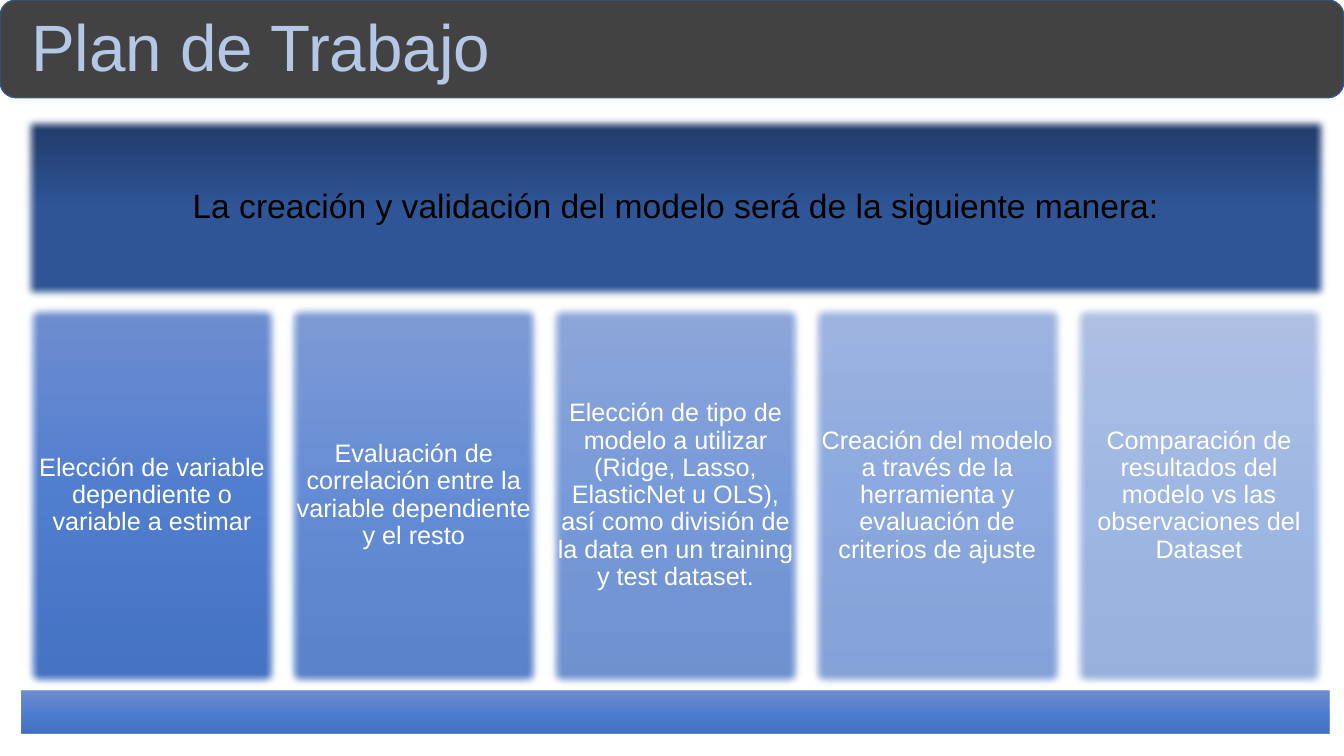
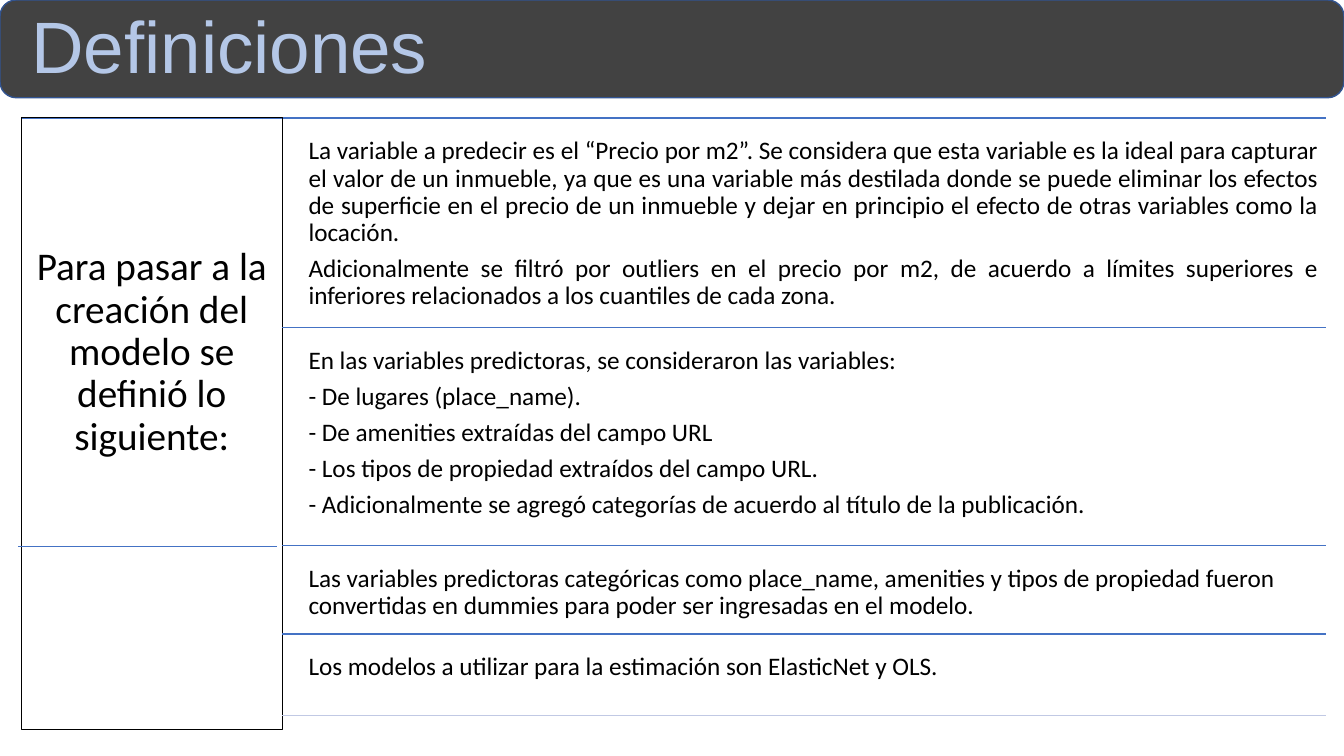
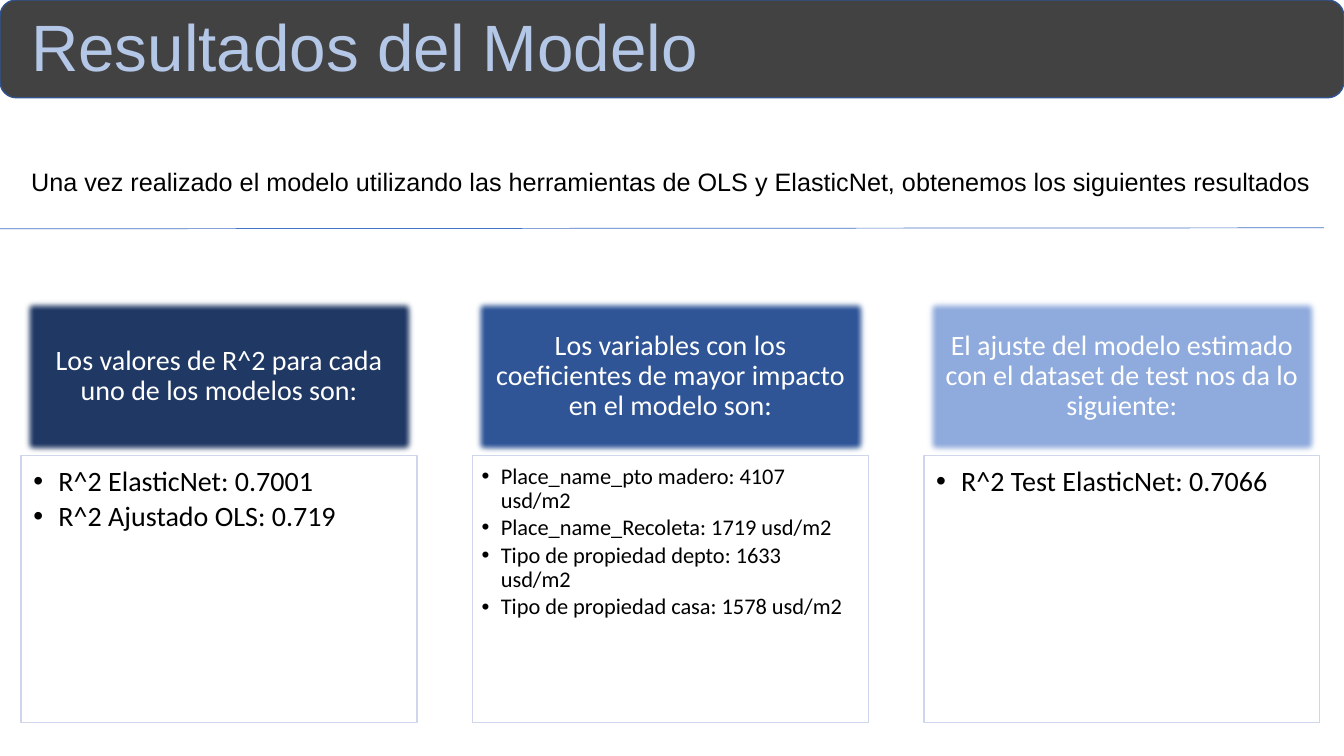
from dataclasses import dataclass
from typing import NamedTuple

from pptx import Presentation
from pptx.dml.color import RGBColor
from pptx.enum.shapes import MSO_CONNECTOR, MSO_SHAPE
from pptx.enum.text import MSO_ANCHOR as ANCHOR, MSO_AUTO_SIZE as AUTO, PP_ALIGN as ALIGN
from pptx.oxml.xmlchemy import OxmlElement
from pptx.util import Inches, Pt


@dataclass(frozen=True)
class Theme:
    """Colours, fonts and type sizes of the deck."""
    black: str = "000000"
    white: str = "FFFFFF"
    title: str = "B4C7E7"
    band_line: str = "325491"
    accent: str = "4472C4"
    pale_rule: str = "C1C9E4"
    panel_line: str = "CFD5EA"
    navy: str = "203864"
    blue: str = "2F5597"
    sky: str = "8FAADC"
    steps: tuple = ("6183CB", "3E70CA", "3062BB")
    sans: str = "Arial"
    text: str = "Calibri"
    title_pt: float = 46.8
    big_title_pt: float = 52
    side_pt: int = 28
    lead_pt: int = 24
    card_pt: int = 20
    body_pt: int = 18
    small_pt: int = 16


T = Theme()


class Box(NamedTuple):
    """A rectangle in inches."""
    x: float
    y: float
    w: float
    h: float

    def columns(self, n, gap=0.0):
        """Split the box into n equal columns."""
        w = (self.w - gap * (n - 1)) / n
        return [Box(self.x + i * (w + gap), self.y, w, self.h) for i in range(n)]

    def emu(self):
        """Return the four lengths for python-pptx."""
        return [Inches(v) for v in self]


BAND = Box(0, 0, 13.33, 0.97)


def child(parent, tag, **attrs):
    """Append an XML element with attributes and return it."""
    el = OxmlElement(tag)
    for key, value in attrs.items():
        el.set(key, str(value))
    parent.append(el)
    return el


def set_alpha(color_el, percent):
    """Make a colour element partly transparent."""
    child(color_el, "a:alpha", val=percent * 1000)


def fill_solid(sp, color, alpha=100):
    """Fill a shape with one colour."""
    sp.fill.solid()
    sp.fill.fore_color.rgb = RGBColor.from_string(color)
    if alpha < 100:
        set_alpha(sp.fill._xPr.solidFill[0], alpha)


def fill_gradient(sp, colors, alpha=100):
    """Fill a shape from top to bottom through evenly spaced colours."""
    sp.fill.background()
    spPr = sp._element.spPr
    grad = OxmlElement("a:gradFill")
    stops = child(grad, "a:gsLst")
    for i, color in enumerate(colors):
        stop = child(stops, "a:gs", pos=100000 * i // (len(colors) - 1))
        set_alpha(child(stop, "a:srgbClr", val=color), alpha)
    child(grad, "a:lin", ang=5400000, scaled=0)
    spPr.replace(spPr.noFill, grad)


def outline(sp, color, width=1.0):
    """Give a shape or connector a solid line."""
    sp.line.color.rgb = RGBColor.from_string(color)
    sp.line.width = Pt(width)


def add_box(slide, box, kind=MSO_SHAPE.RECTANGLE, soft=0.0):
    """Add a bare shape, with soft edges of the given radius."""
    sp = slide.shapes.add_shape(kind, *box.emu())
    sp.shadow.inherit = False
    sp.fill.background()
    sp.line.fill.background()
    if soft:
        child(sp._element.spPr.effectLst, "a:softEdge", rad=Inches(soft))
    return sp


def add_rule(slide, start, end, color=T.accent, width=1.0):
    """Add a straight line between two points."""
    (x1, y1), (x2, y2) = start, end
    line = slide.shapes.add_connector(
        MSO_CONNECTOR.STRAIGHT, Inches(x1), Inches(y1), Inches(x2), Inches(y2))
    outline(line, color, width)
    child(line._element.spPr, "a:effectLst")


def write(sp, paragraphs, size, color=T.black, font=T.text, align=ALIGN.LEFT,
          anchor=ANCHOR.TOP, inset=(0.07,) * 4, after=0.35, leading=0.9, bullet=0.0):
    """Set the paragraphs of a shape; bullet is the hanging indent."""
    tf = sp.text_frame
    tf.word_wrap, tf.auto_size, tf.vertical_anchor = True, AUTO.NONE, anchor
    tf.margin_left, tf.margin_top, tf.margin_right, tf.margin_bottom = map(Inches, inset)
    for i, text in enumerate(paragraphs):
        p = tf.add_paragraph() if i else tf.paragraphs[0]
        p.alignment, p.line_spacing = align, leading
        p.space_before, p.space_after = Pt(0), Pt(after * size)
        r = p.add_run()
        r.text = text
        r.font.size, r.font.name, r.font.bold = Pt(size), font, False
        r.font.color.rgb = RGBColor.from_string(color)
        if bullet:
            pPr = p._p.get_or_add_pPr()
            pPr.set("marL", str(Inches(bullet)))
            pPr.set("indent", str(-Inches(bullet)))
            child(pPr, "a:buFont", typeface=T.sans)
            child(pPr, "a:buChar", char="•")


def add_text(slide, box, paragraphs, size, **style):
    """Add a text box."""
    write(slide.shapes.add_textbox(*box.emu()), paragraphs, size, **style)


def place(sp, box):
    """Move a placeholder into a box."""
    sp.left, sp.top, sp.width, sp.height = box.emu()


def new_slide(prs, layout, title, width=4.84, size=T.title_pt):
    """Start a slide with the dark band and its title."""
    slide = prs.slides.add_slide(prs.slide_layouts.get_by_name(layout))
    band = add_box(slide, BAND, MSO_SHAPE.ROUNDED_RECTANGLE)
    fill_solid(band, T.black, 74)
    outline(band, T.band_line)
    slide.shapes._spTree.insert(2, band._element)
    sp = slide.shapes.title
    place(sp, Box(0.21, 0.02, width, 0.95))
    write(sp, [title], size, T.title, T.sans, anchor=ANCHOR.MIDDLE,
          inset=(0.1, 0.05, 0.1, 0.05), after=0)
    return slide


def add_process(slide, box, lead, steps):
    """Place a lead panel, a row of fading steps and a base bar."""
    lead_h, step_h, base_h = 1.84, 3.87, 0.43
    centred = dict(font=T.sans, align=ALIGN.CENTER, anchor=ANCHOR.MIDDLE, inset=(0.1,) * 4)
    panel = add_box(slide, box._replace(h=lead_h), soft=0.09)
    fill_gradient(panel, (T.navy, T.blue, T.blue))
    write(panel, [lead], T.lead_pt, **centred)
    row = box._replace(y=box.y + lead_h, h=step_h)
    for i, (cell, step) in enumerate(zip(row.columns(len(steps)), steps)):
        tile = add_box(slide, cell, soft=0.09)
        fill_gradient(tile, T.steps, 90 - 10 * i)
        write(tile, [step], T.body_pt, T.white, **centred)
    base = add_box(slide, Box(box.x, row.y + step_h, box.w, base_h))
    fill_gradient(base, T.steps, 90)


def add_definitions(slide, box, side, sections):
    """Place a framed side statement and ruled sections beside it."""
    side_w, gap, right = 2.59, 0.13, box.x + box.w
    add_rule(slide, (box.x, box.y), (right, box.y))
    frame = add_box(slide, box._replace(w=side_w))
    outline(frame, T.black, 0.75)
    write(frame, [side], T.side_pt, align=ALIGN.CENTER, inset=(0.12, 1.28, 0.12, 0.12))
    left, y = box.x + side_w, box.y
    for i, (height, align, paragraphs) in enumerate(sections, 1):
        y += gap
        area = Box(left + 0.19, y, right - left - 0.19, height)
        add_text(slide, area, paragraphs, T.body_pt, align=align)
        y += height
        color = T.pale_rule if i == len(sections) else T.accent
        add_rule(slide, (left, y), (right, y), color)


def add_card(slide, body, box, color, heading, items, size, indent, inset):
    """Place a coloured heading above a bulleted list."""
    head_h = 1.57
    head = add_box(slide, box._replace(h=head_h), soft=0.07)
    fill_solid(head, color)
    outline(head, T.accent)
    write(head, [heading], T.card_pt, T.white, align=ALIGN.CENTER,
          anchor=ANCHOR.MIDDLE, inset=(0.16, 0.09, 0.16, 0.09))
    place(body, box._replace(y=box.y + head_h, h=box.h - head_h))
    fill_solid(body, T.white, 90)
    outline(body, T.panel_line)
    write(body, items, size, inset=inset, after=0.15, bullet=indent)


def build_plan(prs):
    """Build the work plan slide."""
    slide = new_slide(prs, "Title Only", "Plan de Trabajo")
    add_process(
        slide, Box(0.21, 1.14, 12.98, 6.14),
        "La creación y validación del modelo será de la siguiente manera:",
        ["Elección de variable dependiente o variable a estimar",
         "Evaluación de correlación entre la variable dependiente y el resto",
         "Elección de tipo de modelo a utilizar (Ridge, Lasso, ElasticNet u OLS), "
         "así como división de la data en un training y test dataset.",
         "Creación del modelo a través de la herramienta y evaluación de criterios de ajuste",
         "Comparación de resultados del modelo vs las observaciones del Dataset"])


def build_definitions(prs):
    """Build the definitions slide."""
    slide = new_slide(prs, "Title Only", "Definiciones", size=T.big_title_pt)
    sections = [
        (1.95, ALIGN.JUSTIFY, [
            "La variable a predecir es el “Precio por m2”. Se considera que esta variable es la "
            "ideal para capturar el valor de un inmueble, ya que es una variable más destilada "
            "donde se puede eliminar los efectos de superficie en el precio de un inmueble y "
            "dejar en principio el efecto de otras variables como la locación.",
            "Adicionalmente se filtró por outliers en el precio por m2, de acuerdo a límites "
            "superiores e inferiores relacionados a los cuantiles de cada zona."]),
        (2.03, ALIGN.JUSTIFY, [
            "En las variables predictoras, se consideraron las variables:",
            "- De lugares (place_name).",
            "- De amenities extraídas del campo URL",
            "- Los tipos de propiedad extraídos del campo URL.",
            "- Adicionalmente se agregó categorías de acuerdo al título de la publicación."]),
        (0.75, ALIGN.LEFT, [
            "Las variables predictoras categóricas como place_name, amenities y tipos de "
            "propiedad fueron convertidas en dummies para poder ser ingresadas en el modelo."]),
        (0.68, ALIGN.LEFT, [
            "Los modelos a utilizar para la estimación son ElasticNet y OLS."]),
    ]
    add_definitions(slide, Box(0.21, 1.17, 12.94, 6.07),
                    "Para pasar a la creación del modelo se definió lo siguiente:", sections)
    add_rule(slide, (0.18, 5.42), (2.75, 5.42), width=0.5)


def build_results(prs):
    """Build the model results slide."""
    slide = new_slide(prs, "Comparison", "Resultados del Modelo", width=7.13)
    add_text(slide, Box(0.21, 1.6, 12.89, 0.4),
             ["Una vez realizado el modelo utilizando las herramientas de OLS y ElasticNet, "
              "obtenemos los siguientes resultados"],
             T.body_pt, font=T.sans, inset=(0.1, 0.05, 0.1, 0.05), after=0, leading=1.0)
    large = (T.card_pt, 0.25, (0.12, 0.12, 0.16, 0.17))
    small = (T.small_pt, 0.19, (0.09, 0.09, 0.12, 0.14))
    cards = [
        (T.navy, "Los valores de R^2 para cada uno de los modelos son:",
         ["R^2 ElasticNet: 0.7001", "R^2 Ajustado OLS: 0.719"], *large),
        (T.blue, "Los variables con los coeficientes de mayor impacto en el modelo son:",
         ["Place_name_pto madero: 4107 usd/m2", "Place_name_Recoleta: 1719 usd/m2",
          "Tipo de propiedad depto: 1633 usd/m2", "Tipo de propiedad casa: 1578 usd/m2"], *small),
        (T.sky, "El ajuste del modelo estimado con el dataset de test nos da lo siguiente:",
         ["R^2 Test ElasticNet: 0.7066"], *large),
    ]
    *bodies, spare = [sp for sp in slide.placeholders if sp.placeholder_format.idx in range(1, 5)]
    spare._element.getparent().remove(spare._element)
    columns = Box(0.21, 2.95, 12.88, 4.22).columns(len(cards), 0.55)
    for body, column, card in zip(bodies, columns, cards):
        add_card(slide, body, column, *card)
    add_rule(slide, (0, 2.27), (13.13, 2.26), width=0.5)


def main():
    """Build and save the deck."""
    prs = Presentation()
    prs.slide_width, prs.slide_height = Inches(13.33), Inches(7.5)
    for build in (build_plan, build_definitions, build_results):
        build(prs)
    prs.save("out.pptx")


main()
